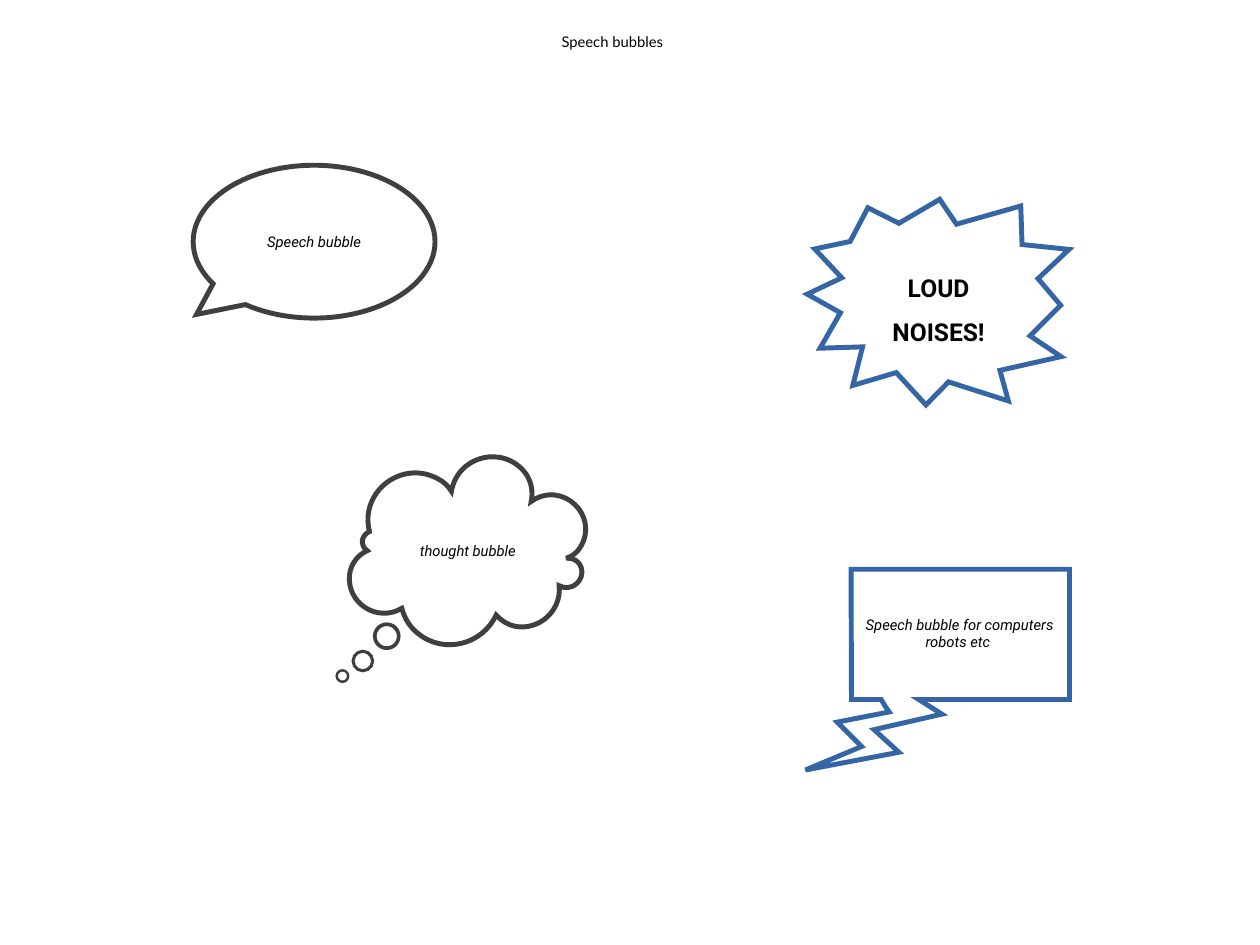
import pptx
import pptx.util
import pptx.dml.color
import pptx.enum.shapes
import pptx.enum.text
from lxml import etree

Inches = pptx.util.Inches
Pt = pptx.util.Pt
RGBColor = pptx.dml.color.RGBColor
Shape = pptx.enum.shapes.MSO_SHAPE
AutoSize = pptx.enum.text.MSO_AUTO_SIZE

BLACK = RGBColor(0x00, 0x00, 0x00)
WHITE = RGBColor(0xFF, 0xFF, 0xFF)
GREY = RGBColor(0x3F, 0x3F, 0x3F)
BLUE = RGBColor(0x34, 0x65, 0xA4)
OUTLINE = 8
DRAWING = "{http://schemas.openxmlformats.org/drawingml/2006/main}"

# text, (left, top, width, height), style
LABELS = [
    ("Speech bubbles", (12.57, 0.65, 3.31, 0.58),
     dict(font="Lato", wrap=False, right=0.92, fit=AutoSize.NONE)),
    ("Speech bubble for computers robots etc ", (19.42, 13.68, 4.48, 1.22), dict(italic=True)),
    ("LOUD NOISES!", (19.35, 6.02, 3.67, 1.61), dict(size=40, bold=True, spacing=1.5)),
]

SPEECH_BOX = (4.36, 3.73, 5.46, 3.45)
SPEECH_TAIL = (-0.486, 0.476)

CLOUD_BOX = (7.89, 10.31, 5.34, 4.24)
CLOUD_START = (8.34, 12)
# two control points and an end point for each curve
CLOUD_CURVES = [
    ((8.11, 11.1), (9.07, 10.36), (9.89, 10.81)),
    ((10.01, 10.87), (10.12, 10.97), (10.19, 11.09)),
    ((10.33, 10.28), (11.36, 10.03), (11.86, 10.68)),
    ((11.99, 10.86), (12.04, 11.1), (11.99, 11.32)),
    ((12.68, 10.83), (13.54, 11.63), (13.1, 12.35)),
    ((13.03, 12.47), (12.92, 12.56), (12.78, 12.6)),
    ((12.93, 12.58), (13.08, 12.67), (13.12, 12.81)),
    ((13.21, 13.11), (12.89, 13.37), (12.62, 13.22)),
    ((12.68, 13.77), (12.19, 14.23), (11.64, 14.14)),
    ((11.47, 14.11), (11.31, 14.01), (11.2, 13.88)),
    ((10.89, 14.55), (10.03, 14.77), (9.45, 14.31)),
    ((9.26, 14.17), (9.13, 13.96), (9.07, 13.73)),
    ((8.52, 14.06), (7.82, 13.62), (7.89, 12.97)),
    ((7.92, 12.73), (8.07, 12.53), (8.29, 12.43)),
    ((8.21, 12.38), (8.17, 12.29), (8.18, 12.19)),
    ((8.2, 12.11), (8.26, 12.03), (8.34, 12)),
]
# left, top, diameter, line width
THOUGHT_DOTS = [(8.46, 14.09, 0.54, 6), (7.97, 14.7, 0.44, 5), (7.6, 15.13, 0.26, 4)]

BURST = [
    (19, 6.27), (18.39, 5.62), (19.19, 5.45), (19.59, 4.69), (20.29, 5.04), (21.21, 4.5),
    (21.59, 5.06), (23.04, 4.65), (23.07, 5.52), (24.13, 5.63), (23.43, 6.29), (23.94, 6.89),
    (23.25, 7.58), (23.95, 8.05), (22.57, 8.36), (22.76, 9.05), (21.41, 8.62), (20.9, 9.14),
    (20.23, 8.41), (19.25, 8.7), (19.47, 7.83), (18.51, 7.86), (18.97, 7.06), (18.22, 6.64),
]
ROBOT_BUBBLE = [
    (19.21, 12.85), (24.14, 12.85), (24.14, 15.79), (20.74, 15.79), (21.26, 16.12),
    (19.73, 16.47), (20.29, 16.98), (18.18, 17.38), (19.45, 16.85), (18.9, 16.3),
    (20.07, 16.07), (19.98, 15.94), (19.89, 15.79), (19.22, 15.79),
]


def write(shape, text, inset, right=None, font="Roboto", size=24, bold=False, italic=False,
          spacing=None, wrap=True, fit=AutoSize.NONE):
    frame = shape.text_frame
    frame.word_wrap = wrap
    frame.auto_size = fit
    frame.vertical_anchor = pptx.enum.text.MSO_ANCHOR.MIDDLE
    frame.margin_left = frame.margin_top = frame.margin_bottom = Inches(inset)
    frame.margin_right = Inches(inset if right is None else right)
    para = frame.paragraphs[0]
    para.alignment = pptx.enum.text.PP_ALIGN.CENTER
    if spacing:
        para.line_spacing = spacing
    span = para.add_run()
    span.text = text
    span.font.name = font
    span.font.size = Pt(size)
    span.font.bold = bold
    span.font.italic = italic
    span.font.color.rgb = BLACK


def outline(shape, color, width=OUTLINE, filled=True):
    """Give a shape a sharp-cornered line and a white or empty inside."""
    shape.shadow.inherit = False
    if filled:
        shape.fill.solid()
        shape.fill.fore_color.rgb = WHITE
    else:
        shape.fill.background()
    shape.line.color.rgb = color
    shape.line.width = Pt(width)
    line = shape.line.fill._xPr
    etree.SubElement(line, DRAWING + "miter", lim="800000")


def add_polygon(shapes, points, color):
    corners = [(Inches(x), Inches(y)) for x, y in points]
    builder = shapes.build_freeform(*corners[0])
    builder.add_line_segments(corners[1:], close=True)
    polygon = builder.convert_to_shape()
    outline(polygon, color)
    return polygon


def add_curved_outline(shapes, box, start, curves, color):
    """Add a freeform that fills box, its edge a chain of cubic curves."""
    left, top, width, height = box
    right, bottom = left + width, top + height
    shape = add_polygon(
        shapes, [(left, top), (right, top), (right, bottom), (left, bottom)], color)
    edge = next(shape._element.iter(DRAWING + "path"))
    for child in list(edge):
        edge.remove(child)
    for tag, points in [("moveTo", [start])] + [("cubicBezTo", curve) for curve in curves]:
        step = etree.SubElement(edge, DRAWING + tag)
        for x, y in points:
            etree.SubElement(step, DRAWING + "pt",
                             x=str(Inches(x - left)), y=str(Inches(y - top)))
    etree.SubElement(edge, DRAWING + "close")
    return shape


def main():
    deck = pptx.Presentation()
    deck.slide_width, deck.slide_height = Inches(28.44), Inches(21.33)
    shapes = deck.slides.add_slide(deck.slide_layouts[6]).shapes

    speech = shapes.add_shape(Shape.OVAL_CALLOUT, *map(Inches, SPEECH_BOX))
    for index, value in enumerate(SPEECH_TAIL):
        speech.adjustments[index] = value
    outline(speech, GREY)
    write(speech, "Speech bubble", 0, italic=True)

    cloud = add_curved_outline(shapes, CLOUD_BOX, CLOUD_START, CLOUD_CURVES, GREY)
    write(cloud, "thought bubble", 0, italic=True)
    for left, top, size, width in THOUGHT_DOTS:
        dot = shapes.add_shape(Shape.OVAL, *map(Inches, (left, top, size, size)))
        outline(dot, GREY, width, filled=False)

    for points in (BURST, ROBOT_BUBBLE):
        add_polygon(shapes, points, BLUE)

    for text, place, style in LABELS:
        box = shapes.add_textbox(*map(Inches, place))
        write(box, text, 0.11, **{"fit": AutoSize.SHAPE_TO_FIT_TEXT, **style})

    deck.save("out.pptx")


if __name__ == "__main__":
    main()
